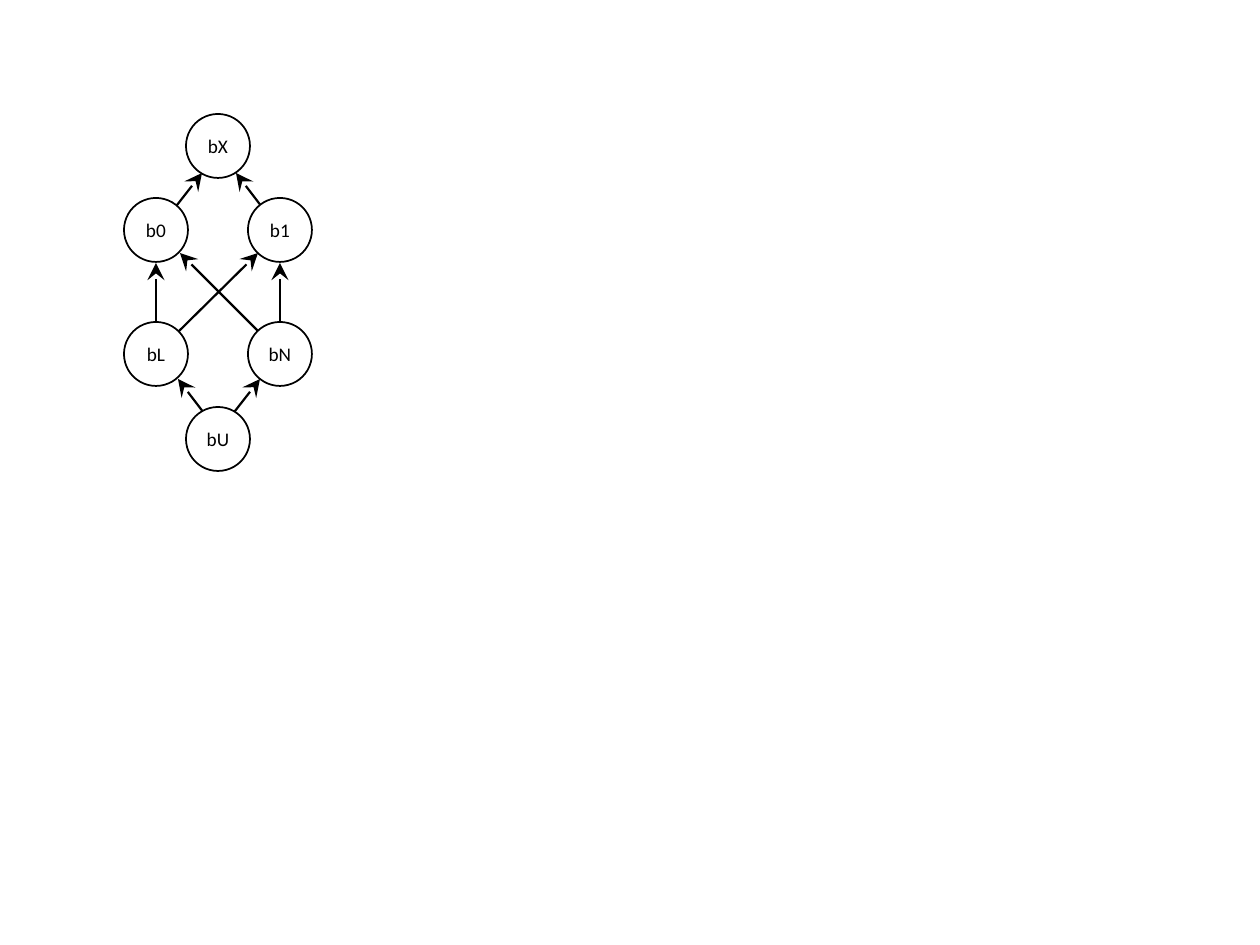
from pptx import Presentation
from pptx import util as u
from pptx.dml.color import RGBColor
from pptx.enum import shapes, text
from pptx.oxml.ns import qn
from lxml import etree

PX = u.Inches(1) / 126
BLACK = RGBColor(0, 0, 0)
WHITE = RGBColor(255, 255, 255)
DIAMETER = 64
LEFT, MIDDLE, RIGHT = 124, 186, 248

NODES = [
    ("bX", MIDDLE, 114),
    ("b1", RIGHT, 198),
    ("b0", LEFT, 198),
    ("bL", LEFT, 322),
    ("bN", RIGHT, 322),
    ("bU", MIDDLE, 407),
]

ARROWS = [
    ((223, 438), (178, 379)),
    ((214, 438), (260, 379)),
    ((281, 232), (236, 173)),
    ((156, 232), (202, 173)),
    ((267, 340), (180, 253)),
    ((170, 340), (258, 253)),
    ((156, 358), (156, 263)),
    ((280, 358), (280, 263)),
]


def px(length):
    return u.Emu(round(length * PX))


def write_text(shape, content, size=11, font="Calibri", color=BLACK):
    frame = shape.text_frame
    frame.margin_left = frame.margin_right = 0
    frame.margin_top = frame.margin_bottom = 0
    frame.word_wrap = False
    frame.vertical_anchor = text.MSO_ANCHOR.MIDDLE
    paragraph = frame.paragraphs[0]
    paragraph.alignment = text.PP_ALIGN.CENTER
    run = paragraph.add_run()
    run.text = content
    run.font.size = u.Pt(size)
    run.font.name = font
    run.font.color.rgb = color


def add_node(slide, label, left, top):
    shape = slide.shapes.add_shape(
        shapes.MSO_SHAPE.OVAL, px(left), px(top), px(DIAMETER), px(DIAMETER))
    shape.shadow.inherit = False
    shape.fill.solid()
    shape.fill.fore_color.rgb = WHITE
    shape.line.color.rgb = BLACK
    shape.line.width = u.Pt(1)
    write_text(shape, label)


def add_arrow(slide, start, end):
    connector = slide.shapes.add_connector(
        shapes.MSO_CONNECTOR.STRAIGHT, *map(px, start + end))
    connector.line.color.rgb = BLACK
    connector.line.width = u.Pt(1.25)
    properties = connector._element.spPr
    etree.SubElement(properties.find(qn("a:ln")), qn("a:tailEnd"),
                     type="stealth", w="lg", len="lg")
    etree.SubElement(properties, qn("a:effectLst"))


def main():
    presentation = Presentation()
    presentation.slide_width = u.Inches(10)
    presentation.slide_height = u.Inches(7.5)
    slide = presentation.slides.add_slide(presentation.slide_layouts[6])
    for start, end in ARROWS:
        add_arrow(slide, start, end)
    for label, left, top in NODES:
        add_node(slide, label, left, top)
    presentation.save("out.pptx")


if __name__ == "__main__":
    main()
